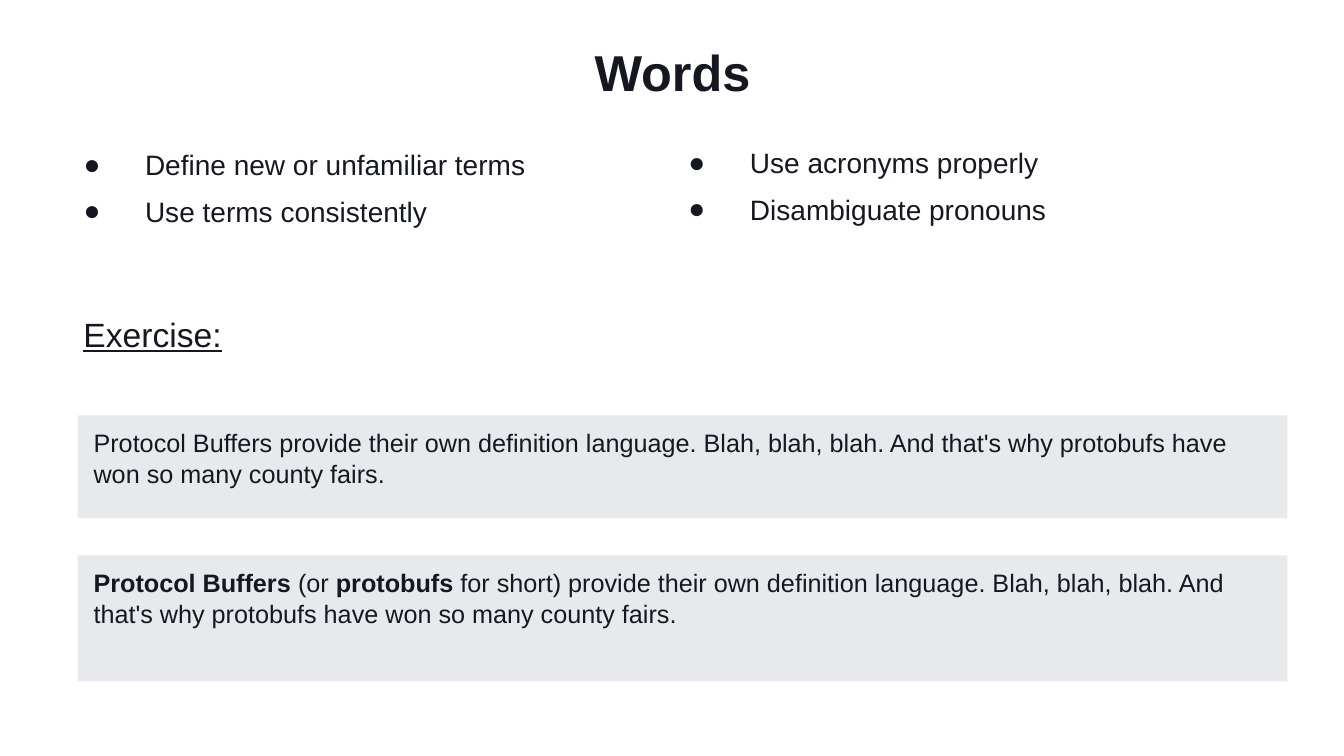
from dataclasses import dataclass

from lxml import etree
from pptx import Presentation
from pptx import util as u
from pptx.dml.color import RGBColor
from pptx.enum import shapes, text
from pptx.oxml import ns


@dataclass(frozen=True)
class Theme:
    font: str = "Arial"
    ink: RGBColor = RGBColor(0x16, 0x18, 0x21)
    panel: RGBColor = RGBColor(0xE8, 0xE9, 0xED)
    title: int = 36
    heading: int = 24
    bullet: int = 20
    example: int = 18


theme = Theme()


def write(sp, paragraphs, size, align=text.PP_ALIGN.LEFT, anchor=text.MSO_ANCHOR.TOP,
          before=8, spacing=1.05, indent=0.06, bullet=None, underline=None):
    """Fill a shape with paragraphs, each a list of (text, bold) runs."""
    tf = sp.text_frame
    tf.word_wrap = True
    tf.auto_size = text.MSO_AUTO_SIZE.NONE
    tf.vertical_anchor = anchor
    tf.margin_left = tf.margin_right = tf.margin_top = tf.margin_bottom = u.Inches(0.1)
    for i, runs in enumerate(paragraphs):
        p = tf.add_paragraph() if i else tf.paragraphs[0]
        p.alignment = align
        p.space_before = u.Pt(before)
        p.line_spacing = spacing
        pPr = p._p.get_or_add_pPr()
        pPr.set("marL", str(u.Inches(indent)))
        pPr.set("indent", str(u.Inches(-0.61 if bullet else 0)))
        if bullet:
            color = etree.SubElement(pPr, ns.qn("a:buClr"))
            etree.SubElement(color, ns.qn("a:srgbClr"), val=str(theme.ink))
            etree.SubElement(pPr, ns.qn("a:buFont"), typeface=theme.font)
            etree.SubElement(pPr, ns.qn("a:buChar"), char=bullet)
        for words, bold in runs:
            r = p.add_run()
            r.text = words
            r.font.name = theme.font
            r.font.size = u.Pt(size)
            r.font.bold = bold
            r.font.underline = underline
            r.font.color.rgb = theme.ink


prs = Presentation()
prs.slide_width, prs.slide_height = u.Inches(13.33), u.Inches(7.5)
s = prs.slides.add_slide(prs.slide_layouts[5])

title = s.shapes.title
title.left, title.top = u.Inches(0.67), u.Inches(0.32)
title.width, title.height = u.Inches(12), u.Inches(0.79)
write(title, [[("Words", True)]], theme.title, align=text.PP_ALIGN.CENTER,
      anchor=text.MSO_ANCHOR.BOTTOM, before=0, spacing=1.0, indent=0)

columns = [
    (0.67, 1.35, ["Define new or unfamiliar terms", "Use terms consistently"]),
    (6.67, 1.33, ["Use acronyms properly", "Disambiguate pronouns"]),
]
for left, top, tips in columns:
    sp = s.shapes.add_textbox(u.Inches(left), u.Inches(top), u.Inches(6), u.Inches(1.4))
    write(sp, [[(tip, False)] for tip in tips], theme.bullet, indent=0.67, bullet="●")

heading = s.shapes.add_textbox(u.Inches(0.67), u.Inches(2.99), u.Inches(12), u.Inches(0.76))
write(heading, [[("Exercise:", False)]], theme.heading, underline=True)

claim = ("provide their own definition language. Blah, blah, blah. "
         "And that's why protobufs have won so many county fairs.")
examples = [
    (4.12, 1.02, [("Protocol Buffers " + claim, False)]),
    (5.51, 1.25, [("Protocol Buffers ", True), ("(or ", False), ("protobufs", True),
                  (" for short) " + claim, False)]),
]
for top, height, runs in examples:
    sp = s.shapes.add_shape(shapes.MSO_SHAPE.RECTANGLE, u.Inches(0.77), u.Inches(top),
                            u.Inches(12), u.Inches(height))
    sp.shadow.inherit = False
    sp.fill.solid()
    sp.fill.fore_color.rgb = theme.panel
    sp.line.fill.background()
    write(sp, [runs], theme.example)

prs.save("out.pptx")
